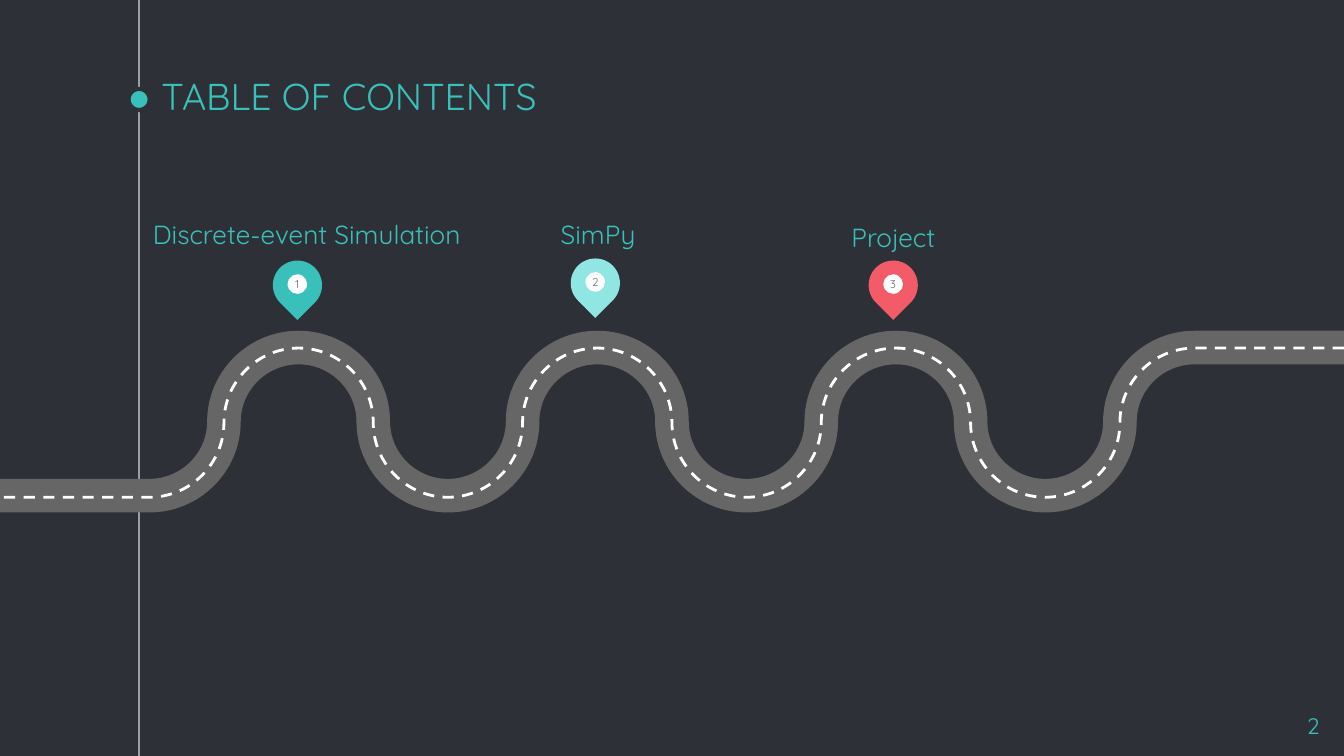
from lxml.etree import SubElement
from pptx import Presentation
from pptx.dml.color import RGBColor
from pptx.enum.dml import MSO_LINE
from pptx.enum.shapes import MSO_CONNECTOR, MSO_SHAPE
from pptx.enum.text import MSO_ANCHOR, PP_ALIGN
from pptx.oxml.ns import qn
from pptx.util import Cm, Pt

FONT = "Quicksand"
BACKGROUND, TEAL, WHITE = "2E3037", "39C0BA", "FFFFFF"
ROAD, RULE = "666666", "999FA9"
WIDTH, HEIGHT = 25.4, 14.29

TITLE = "TABLE OF CONTENTS"
PAGE = "2"
# label, pin colour, pin centre y, label left, label top, label width
STOPS = [
    ("Discrete-event Simulation", TEAL, 5.39, 2.79, 4.23, 6.02),
    ("SimPy", "90E6E2", 5.35, 9.91, 4.23, 2.79),
    ("Project", "F35B69", 5.39, 14.88, 4.28, 4.01),
]

RULE_X, BULLET_Y, BULLET = 2.63, 1.88, 0.4
RADIUS = WIDTH / 18          # width of each quarter bend in the road
FIRST_BEND, LAST_BEND = 2, 16
KAPPA = 0.55                 # handle length of a Bezier quarter circle
PIN, DOT, PIN_GAP = 0.93, 0.37, 5.63


def rgb(color):
    return RGBColor.from_string(color)


def add_text(tf, text, size, color, align, anchor, inset=0):
    tf.word_wrap = True
    tf.vertical_anchor = anchor
    tf.margin_left = tf.margin_right = tf.margin_top = tf.margin_bottom = Cm(inset)
    p = tf.paragraphs[0]
    p.alignment = align
    r = p.add_run()
    r.text = text
    r.font.name, r.font.size = FONT, Pt(size)
    r.font.color.rgb = rgb(color)


def add_label(s, box, *text):
    tb = s.shapes.add_textbox(*map(Cm, box))
    add_text(tb.text_frame, *text)


def add_centred(shapes, kind, x, y, size, color):
    """Add a filled shape of equal sides around the point x, y."""
    sp = shapes.add_shape(kind, Cm(x - size / 2), Cm(y - size / 2), Cm(size), Cm(size))
    sp.shadow.inherit = False
    sp.fill.solid()
    sp.fill.fore_color.rgb = rgb(color)
    sp.line.fill.background()
    return sp


def round_bends(sp):
    """Turn each slanted segment into a quarter arc, level at every crest and trough."""
    nodes = list(sp._element.iter(qn("a:pt")))
    spots = [(int(pt.get("x")), int(pt.get("y"))) for pt in nodes]
    for i in range(2, len(nodes) - 1):
        (x0, y0), (x1, y1) = spots[i - 1], spots[i]
        dx, dy = KAPPA * (x1 - x0), KAPPA * (y1 - y0)
        if i % 2 == 0:
            handles = [(x0 + dx, y0), (x1, y1 - dy)]
        else:
            handles = [(x0, y0 + dy), (x1 - dx, y1)]
        segment = nodes[i].getparent()
        segment.tag = qn("a:cubicBezTo")
        for place, (x, y) in enumerate(handles):
            pt = SubElement(segment, qn("a:pt"), x=str(round(x)), y=str(round(y)))
            segment.insert(place, pt)


def add_road(s, middle, rise, color, width, dash=None):
    """Draw the road from right to left, rising and falling around its middle."""
    bends = [(k * RADIUS, middle + (-1, 0, 1, 0)[k % 4] * rise)
             for k in range(LAST_BEND, FIRST_BEND - 1, -1)]
    start, *rest = [(Cm(x), Cm(y)) for x, y in
                    [(WIDTH, middle - rise), *bends, (0, middle + rise)]]
    builder = s.shapes.build_freeform(*start)
    builder.add_line_segments(rest, close=False)
    sp = builder.convert_to_shape()
    round_bends(sp)
    sp.shadow.inherit = False
    sp.fill.background()
    sp.line.color.rgb = rgb(color)
    sp.line.width = Pt(width)
    if dash:
        sp.line.dash_style = dash


def add_pin(s, number, color, x, y):
    group = s.shapes.add_group_shape()
    drop = add_centred(group.shapes, MSO_SHAPE.TEAR, x, y, PIN, color)
    drop.rotation = 135
    dot = add_centred(group.shapes, MSO_SHAPE.OVAL, x, y - 0.02, DOT, WHITE)
    add_text(dot.text_frame, str(number), 6, ROAD, PP_ALIGN.CENTER, MSO_ANCHOR.MIDDLE)


def main():
    prs = Presentation()
    prs.slide_width, prs.slide_height = Cm(WIDTH), Cm(HEIGHT)
    s = prs.slides.add_slide(prs.slide_layouts[6])
    s.background.fill.solid()
    s.background.fill.fore_color.rgb = rgb(BACKGROUND)

    rule = s.shapes.add_connector(MSO_CONNECTOR.STRAIGHT, Cm(RULE_X), Cm(0),
                                  Cm(RULE_X), Cm(HEIGHT))
    rule.line.color.rgb = rgb(RULE)
    rule.line.width = Pt(0.75)
    SubElement(rule._element.spPr, qn("a:effectLst"))
    bullet = add_centred(s.shapes, MSO_SHAPE.OVAL, RULE_X, BULLET_Y, BULLET, TEAL)
    bullet.line.color.rgb = rgb(BACKGROUND)
    bullet.line.width = Pt(2.25)

    add_label(s, (2.8, 1.52, 19.05, 0.97), TITLE, 20, TEAL,
              PP_ALIGN.LEFT, MSO_ANCHOR.BOTTOM, 0.25)
    add_label(s, (23.67, 13.21, 1.52, 0.86), PAGE, 12, TEAL,
              PP_ALIGN.RIGHT, MSO_ANCHOR.TOP, 0.25)

    add_road(s, 7.97, 1.4, ROAD, 18)
    add_road(s, 7.99, 1.41, WHITE, 1.5, MSO_LINE.DASH)

    for number, (label, color, y, left, top, width) in enumerate(STOPS, 1):
        add_pin(s, number, color, PIN_GAP * number - 0.01, y)
        add_label(s, (left, top, width, 0.5), label, 14, TEAL,
                  PP_ALIGN.CENTER, MSO_ANCHOR.BOTTOM)

    prs.save("out.pptx")


if __name__ == "__main__":
    main()
